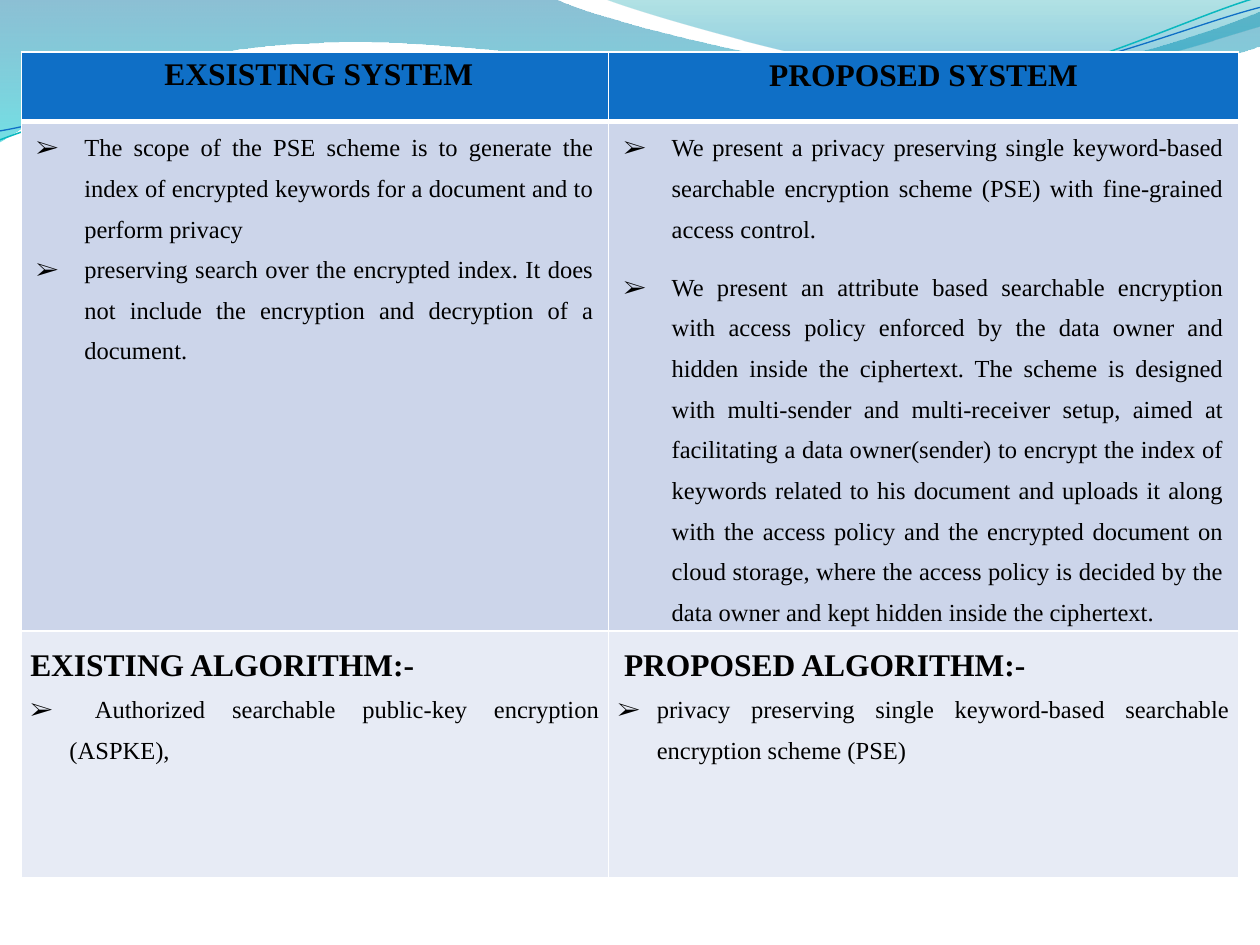
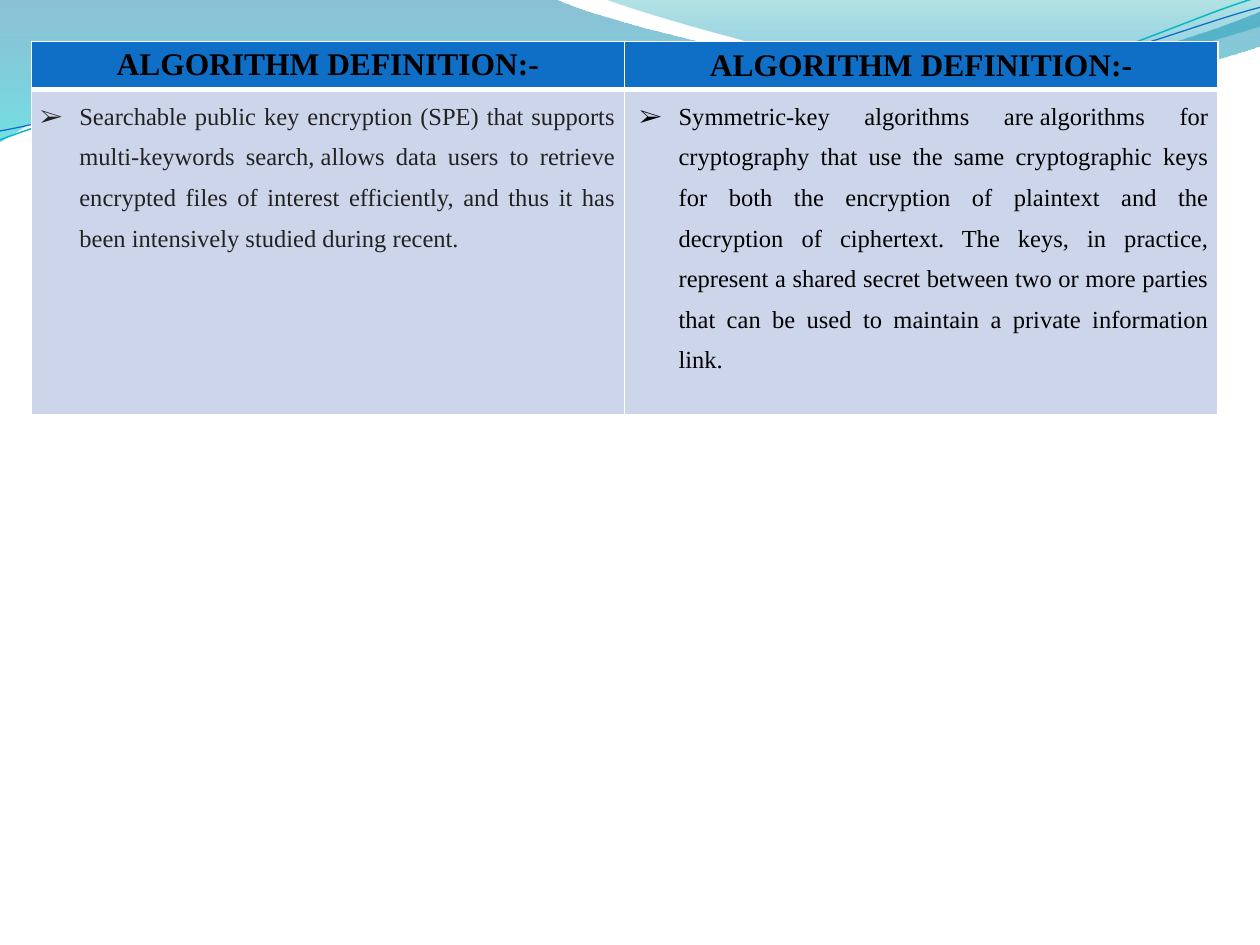
from lxml import etree
from pptx import Presentation
from pptx.dml.color import RGBColor
from pptx.enum import text
from pptx.oxml import ns
from pptx.util import Cm, Pt

FONT = "Times New Roman"
BLACK, GRAY, WHITE = "000000", "222222", "FFFFFF"
HEADER, BODY, ALGORITHM = "0F6FC6", "CCD5EA", "E7EBF5"
CENTER, JUSTIFY = text.PP_ALIGN.CENTER, text.PP_ALIGN.JUSTIFY
NBSP = chr(160)

# Outlines in cm: a start point, then lines (x, y) and curves (two controls, end).
WAVE_WIDE = [
    (0, 0), (11.18, -0.03),
    (12.09, 0.43, 16.87, 1.6, 19.25, 1.6), (21.67, 1.6, 24.33, 0.66, 25.4, 0.23),
    (25.43, 0.91),
    (24.97, 1.12, 22.1, 1.93, 18.95, 1.91), (15.79, 1.91, 9.7, 0.71, 6.53, 0.86),
    (3.28, 0.91, 1.17, 2.11, -0.03, 2.87), (0, 0),
]
WAVE_RIGHT = [
    (12.17, -0.03),
    (12.93, 0.28, 17.32, 1.57, 19.53, 1.65), (21.74, 1.75, 24.41, 0.81, 25.4, 0.53),
    (25.4, 0), (12.17, -0.03),
]
LINE_TEAL = [
    (0, 2.82), (1.22, 2.36, 4.01, 1.45, 7.04, 1.32),
    (10.03, 1.19, 15.06, 2.26, 18.11, 2.03), (21.16, 1.8, 23.83, 0.38, 25.35, -0.05),
]
LINE_BLUE = [
    (0, 2.64), (1.19, 2.44, 4.17, 1.55, 7.19, 1.42),
    (10.24, 1.3, 15.16, 2.13, 18.21, 1.91), (21.23, 1.7, 23.9, 0.53, 25.4, 0.15),
]


def rgb(value):
    return RGBColor.from_string(value)


def add_outline(s, outline, close):
    """Add a freeform, merging the three segments of each curve into one Bézier."""
    points = [(Cm(x), Cm(y)) for seg in outline for x, y in zip(seg[::2], seg[1::2])]
    builder = s.shapes.build_freeform(*points[0])
    builder.add_line_segments(points[1:], close=close)
    sp = builder.convert_to_shape()
    sp.shadow.inherit = False
    segments = iter(list(sp._element.iter(ns.qn("a:lnTo"))))
    for seg in outline[1:]:
        first = next(segments)
        if len(seg) == 6:
            curve = etree.Element(ns.qn("a:cubicBezTo"))
            first.addprevious(curve)
            for line in (first, next(segments), next(segments)):
                curve.append(line[0])
                line.getparent().remove(line)
    return sp


def add_wave(s, outline, *stops):
    """Fill an outline from top to bottom; a stop is position, colour, opacity in %."""
    sp = add_outline(s, outline, close=True)
    sp.line.fill.background()
    sp.fill.gradient()
    sp.fill.gradient_angle = 270
    for stop, (position, color, _) in zip(sp.fill.gradient_stops, stops):
        stop.position = position
        stop.color.rgb = rgb(color)
    colors = sp._element.spPr.iter(ns.qn("a:srgbClr"))
    for clr, (_, _, opacity) in zip(colors, stops):
        etree.SubElement(clr, ns.qn("a:alpha"), val=str(opacity * 1000))
    return sp


def add_curve(s, outline, color, width):
    sp = add_outline(s, outline, close=False)
    sp.fill.background()
    sp.line.color.rgb = rgb(color)
    sp.line.width = Pt(width)
    return sp


def move_waves_to_layout(s):
    """Draw the shared waves and hand them to the layout of the slide."""
    layout = s.slide_layout
    for ph in list(layout.placeholders):
        ph._element.getparent().remove(ph._element)
    waves = [
        add_wave(s, WAVE_WIDE, (0, "0074A1", 45), (1, "00C6CF", 55)),
        add_wave(s, WAVE_RIGHT, (0, "00A1A9", 30), (0.8, "008BBF", 45)),
        add_curve(s, LINE_TEAL, "0AB8BF", 0.85),
        add_curve(s, LINE_BLUE, "0F6FC6", 0.75),
    ]
    for sp in waves:
        layout._element.cSld.spTree.append(sp._element)


def write(p, content, size=14, bold=False, color=BLACK, align=JUSTIFY,
          spacing=1.5, after=0, left=0, hanging=0, bullet=None):
    p.alignment = align
    p.line_spacing = spacing
    p.space_after = Pt(after)
    pPr = p._p.get_or_add_pPr()
    pPr.set("marL", str(Cm(left)))
    pPr.set("indent", str(-Cm(hanging)))
    if bullet:
        etree.SubElement(pPr, ns.qn("a:buFont"), typeface=FONT)
        etree.SubElement(pPr, ns.qn("a:buChar"), char=bullet)
    r = p.add_run()
    r.text = content
    r.font.name = FONT
    r.font.size = Pt(size)
    r.font.bold = bold
    r.font.color.rgb = rgb(color)


def title(content, **kw):
    return content, dict(size=18, bold=True, align=CENTER, spacing=1.15, after=10) | kw


def heading(content, **kw):
    return content, dict(size=18, bold=True) | kw


def item(content, left=0.79, hanging=0.79, **kw):
    return content, dict(left=left, hanging=hanging, bullet="➢") | kw


def set_borders(cell, bottom):
    tcPr = cell._tc.get_or_add_tcPr()
    for i, side in enumerate("LRTB"):
        width = bottom if side == "B" else 1
        ln = etree.Element(ns.qn(f"a:ln{side}"), w=str(Pt(width)))
        fill = etree.SubElement(ln, ns.qn("a:solidFill"))
        etree.SubElement(fill, ns.qn("a:srgbClr"), val=WHITE)
        tcPr.insert(i, ln)


def fill_cell(cell, paragraphs, color, side, top=0):
    cell.fill.solid()
    cell.fill.fore_color.rgb = rgb(color)
    set_borders(cell, bottom=3 if color == HEADER else 1)
    cell.margin_left = cell.margin_right = Cm(side)
    cell.margin_top = cell.margin_bottom = Cm(top)
    tf = cell.text_frame
    for i, (content, style) in enumerate(paragraphs):
        write(tf.add_paragraph() if i else tf.paragraphs[0], content, **style)


def add_comparison(s, left, top, widths, rows):
    """Draw a table; a row is its height, colour, side inset and cells."""
    heights = [row[0] for row in rows]
    frame = s.shapes.add_table(len(rows), len(widths), Cm(left), Cm(top),
                               Cm(sum(widths)), Cm(sum(heights)))
    table = frame.table
    table.horz_banding = False
    for column, width in zip(table.columns, widths):
        column.width = Cm(width)
    for i, (height, color, side, cells) in enumerate(rows):
        table.rows[i].height = Cm(height)
        for j, paragraphs in enumerate(cells):
            # The right-hand title sits on single spacing below a small inset.
            inset = 0.13 if color == HEADER and j else 0
            fill_cell(table.cell(i, j), paragraphs, color, side, inset)


def add_systems_table(s):
    wide = dict(left=0.97, hanging=0.97)
    add_comparison(s, 0.43, 1.05, [11.84, 12.7], [
        (1.4, HEADER, 0.3, [
            [title(NBSP + "EXSISTING SYSTEM")],
            [title("PROPOSED SYSTEM", spacing=1.0, after=0)],
        ]),
        (10.27, BODY, 0.3, [
            [item("The scope of the PSE scheme is to generate the index of encrypted "
                  "keywords for a document and to perform privacy", **wide),
             item("preserving search over the encrypted index. It does not include the "
                  "encryption and decryption of a document.", **wide)],
            [item("We present a privacy preserving single keyword-based searchable "
                  "encryption scheme (PSE) with fine-grained access control.",
                  after=10, **wide),
             item("We present an attribute based searchable encryption with access policy "
                  "enforced by the data owner and hidden inside the ciphertext. The scheme "
                  "is designed with multi-sender and multi-receiver setup, aimed at "
                  "facilitating a data owner(sender) to encrypt the index of keywords "
                  "related to his document and uploads it along with the access policy and "
                  "the encrypted document on cloud storage, where the access policy is "
                  "decided by the data owner and kept hidden inside the ciphertext.",
                  after=10, **wide)],
        ]),
        (4.98, ALGORITHM, 0.18, [
            [heading("EXISTING ALGORITHM:-"),
             item(" Authorized searchable public-key encryption (ASPKE),")],
            [heading("PROPOSED ALGORITHM:-", left=0.13),
             item("privacy preserving single keyword-based searchable encryption "
                  "scheme (PSE)")],
        ]),
    ])


def add_definitions_table(s):
    name = "ALGORITHM DEFINITION:-"
    add_comparison(s, 0.63, 0.84, [11.96, 11.96], [
        (0.97, HEADER, 0.3, [[title(name)], [title(name, spacing=1.0, after=0)]]),
        (6.56, BODY, 0.18, [
            [item("Searchable public key encryption (SPE) that supports multi-keywords "
                  f"search,{NBSP}allows data users to retrieve encrypted files of interest "
                  "efficiently, and thus it has been intensively studied during recent.",
                  color=GRAY)],
            [item(f"Symmetric-key algorithms are{NBSP}algorithms for cryptography that use "
                  "the same cryptographic keys for both the encryption of plaintext and the "
                  "decryption of ciphertext. The keys, in practice, represent a shared "
                  "secret between two or more parties that can be used to maintain a "
                  "private information link.", left=0.91)],
        ]),
    ])


def main():
    prs = Presentation()
    prs.slide_width, prs.slide_height = Cm(25.4), Cm(19.05)
    blank = prs.slide_layouts[6]
    systems, definitions = (prs.slides.add_slide(blank) for _ in range(2))
    move_waves_to_layout(systems)
    add_systems_table(systems)
    add_definitions_table(definitions)
    prs.save("out.pptx")


if __name__ == "__main__":
    main()
